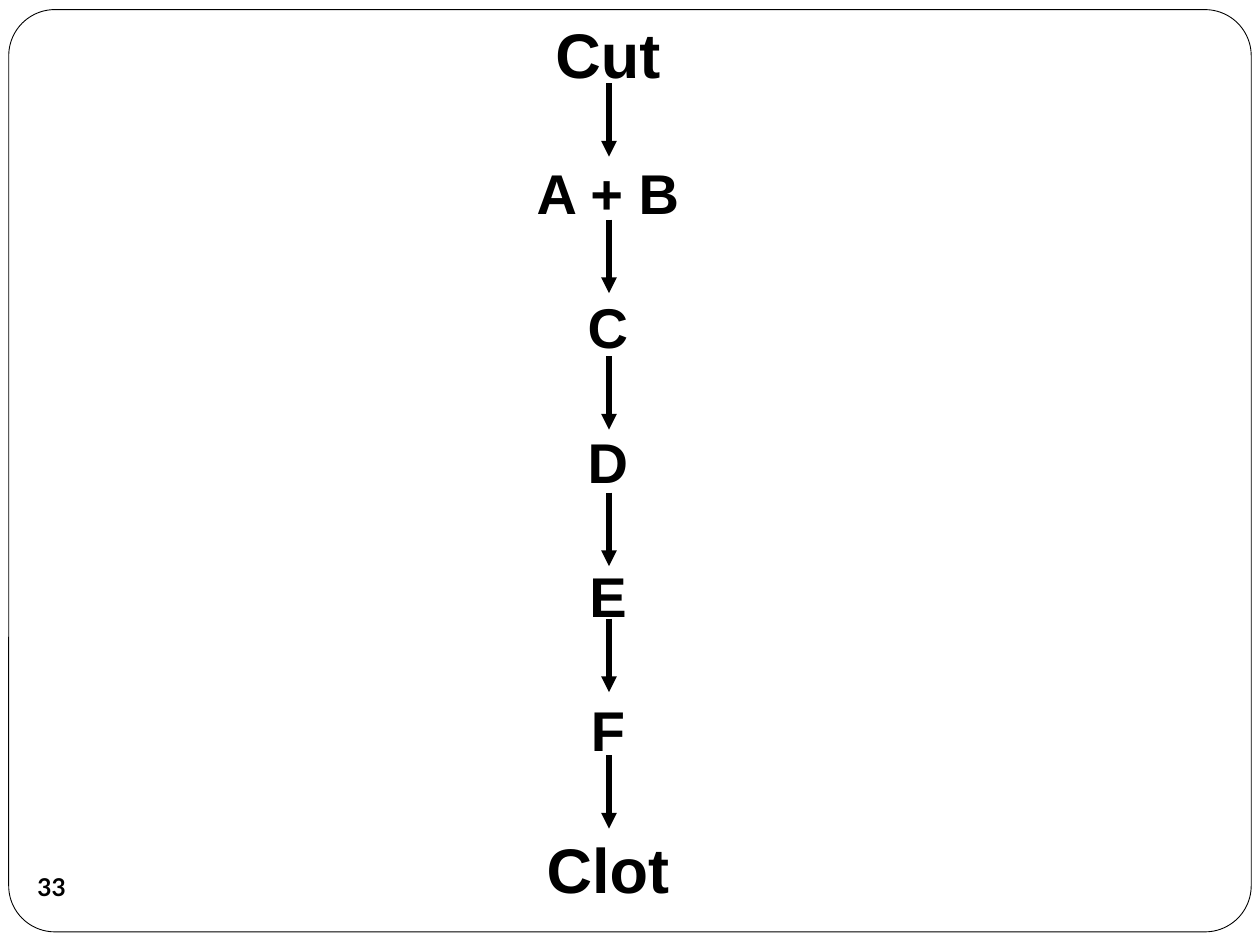
from lxml.etree import SubElement
from pptx import Presentation
from pptx.dml.color import RGBColor
from pptx.enum.shapes import MSO_CONNECTOR as Connector, MSO_SHAPE as Shape
from pptx.enum.text import MSO_ANCHOR as Anchor, PP_ALIGN as Align
from pptx.oxml.ns import qn
from pptx.util import Pt


def color(value):
    return RGBColor.from_string(value)


def write(paragraph, text, size, font):
    paragraph.text = text
    paragraph.alignment = Align.CENTER
    paragraph.font.name = font
    paragraph.font.size = Pt(size)
    paragraph.font.bold = True
    paragraph.font.color.rgb = color("000000")


presentation = Presentation()
presentation.slide_width, presentation.slide_height = Pt(720), Pt(540)
slide = presentation.slides.add_slide(presentation.slide_layouts[6])
shapes = slide.shapes

# Rounded frame
frame = shapes.add_shape(Shape.ROUNDED_RECTANGLE, Pt(5), Pt(5.5), Pt(710), Pt(527))
frame.adjustments[0] = 0.05
frame.shadow.inherit = False
frame.fill.solid()
frame.fill.fore_color.rgb = color("FFFFFF")
frame.line.color.rgb = color("000000")
frame.line.width = Pt(0.5)

# Cascade steps, one equal gap apart
steps = [("Cut", 36), ("A + B", 32), ("C", 32), ("D", 32), ("E", 32), ("F", 32), ("Clot", 36)]
cascade = shapes.add_textbox(Pt(298.8), Pt(5.8), Pt(97.2), Pt(521.3))
text_frame = cascade.text_frame
text_frame.word_wrap = False
text_frame.margin_top = Pt(3)
for index, (text, size) in enumerate(steps):
    paragraph = text_frame.paragraphs[0] if index == 0 else text_frame.add_paragraph()
    write(paragraph, text, size, "Arial")
    paragraph.space_before = Pt(38.4 if index else 0)

# Arrows between the steps; the last two sit slightly higher
for index in range(len(steps) - 1):
    top = 47.5 + 78 * index - (6 if index >= 4 else 0)
    arrow = shapes.add_connector(Connector.STRAIGHT, Pt(348), Pt(top), Pt(348), Pt(top + 42))
    arrow.line.color.rgb = color("000000")
    arrow.line.width = Pt(3)
    SubElement(arrow.line._get_or_add_ln(), qn("a:tailEnd"), type="triangle")
    SubElement(arrow._element.spPr, qn("a:effectLst"))

# Slide number
number = shapes.add_shape(Shape.OVAL, Pt(11.5), Pt(489), Pt(36), Pt(36))
number.shadow.inherit = False
number.fill.background()
number.line.fill.background()
text_frame = number.text_frame
text_frame.word_wrap = False
text_frame.vertical_anchor = Anchor.MIDDLE
text_frame.margin_left = text_frame.margin_right = 0
text_frame.margin_top = text_frame.margin_bottom = 0
write(text_frame.paragraphs[0], "33", 14, "Lato")

presentation.save("out.pptx")
